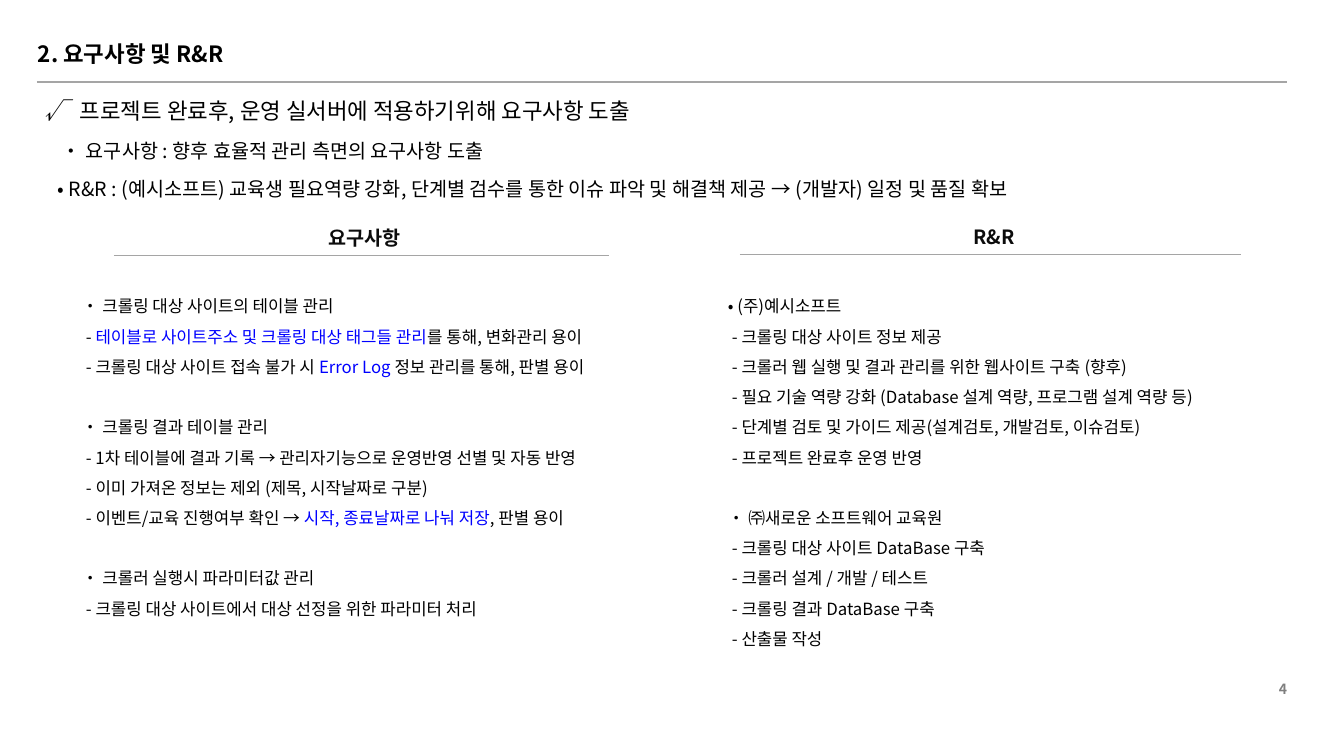
"""Builds the requirements and R&R slide."""
from dataclasses import dataclass

from lxml import etree
from pptx import Presentation
from pptx import util as u
from pptx.dml.color import RGBColor
from pptx.enum import shapes, text
from pptx.oxml.ns import qn


@dataclass(frozen=True)
class Theme:
    font: str = "Noto Sans CJK KR"
    black: str = "000000"
    heading: str = "0C0C0C"
    blue: str = "0000FF"
    grey: str = "7F7F7F"
    rule: str = "A5A5A5"
    title_size: int = 16
    heading_size: int = 14
    body_size: int = 12
    number_size: int = 10


theme = Theme()
EMU_PER_PX = 914400 / 100.8


def px(count):
    return u.Emu(round(count * EMU_PER_PX))


def add_text(para, content, size, color=theme.black, bold=False, italic=False):
    span = para.add_run()
    span.text = content
    span.font.name = theme.font
    span.font.size = u.Pt(size)
    span.font.bold = bold
    span.font.italic = italic
    span.font.color.rgb = RGBColor.from_string(color)
    etree.SubElement(span.font._element, qn("a:ea"), typeface=theme.font)


deck = Presentation()
deck.slide_width, deck.slide_height = px(1344), px(756)
page = deck.slides.add_slide(deck.slide_layouts[6])

for left, right, top in [(37, 1287, 82), (740, 1241, 255), (114, 609, 256)]:
    rule = page.shapes.add_connector(
        shapes.MSO_CONNECTOR.STRAIGHT, px(left), px(top), px(right), px(top))
    rule.line.color.rgb = RGBColor.from_string(theme.rule)
    rule.line.width = u.Pt(0.75)
    etree.SubElement(rule._element.spPr, qn("a:effectLst"))

labels = [
    ("4", (1269, 676, 73, 40), theme.number_size, theme.grey, text.PP_ALIGN.LEFT, 1),
    ("2. 요구사항 및 R&R", (28, 23, 541, 39), theme.title_size, theme.black,
     text.PP_ALIGN.LEFT, 1.44),
    ("R&R", (745, 220, 498, 34), theme.heading_size, theme.heading,
     text.PP_ALIGN.CENTER, 1),
    ("요구사항", (119, 221, 491, 34), theme.heading_size, theme.heading,
     text.PP_ALIGN.CENTER, 1),
]
for content, place, size, color, align, spacing in labels:
    box = page.shapes.add_textbox(*map(px, place))
    box.text_frame.word_wrap = True
    para = box.text_frame.paragraphs[0]
    para.alignment = align
    para.line_spacing = spacing
    add_text(para, content, size, color, bold=True)

summary = page.shapes.add_textbox(*map(px, (35, 80, 1281, 127))).text_frame
summary.word_wrap = True
para = summary.paragraphs[0]
para.line_spacing = 1.44
para._p.get_or_add_pPr().set("marL", str(px(35)))
para._p.get_or_add_pPr().set("indent", str(px(-35)))
add_text(para, "√", theme.title_size, italic=True)
add_text(para, "\t프로젝트 완료후, 운영 실서버에 적용하기위해 요구사항 도출", theme.title_size)
points = [
    (17, "• 요구사항 : 향후 효율적 관리 측면의 요구사항 도출"),
    (13, "• R&R : (예시소프트) 교육생 필요역량 강화, 단계별 검수를 통한 "
         "이슈 파악 및 해결책 제공 → (개발자) 일정 및 품질 확보"),
]
for margin, content in points:
    para = summary.add_paragraph()
    para.line_spacing = 1.64
    para._p.get_or_add_pPr().set("marL", str(px(margin)))
    add_text(para, content, theme.heading_size)

# Asterisks enclose the blue words.
columns = [
    ((72, 281, 600, 311), [
        "• 크롤링 대상 사이트의 테이블 관리",
        "- *테이블로 사이트주소 및 크롤링 대상 태그들 관리*를 통해, 변화관리 용이",
        "- 크롤링 대상 사이트 접속 불가 시 *Error Log *정보 관리를 통해, 판별 용이",
        "• 크롤링 결과 테이블 관리",
        "- 1차 테이블에 결과 기록 → 관리자기능으로 운영반영 선별 및 자동 반영",
        "- 이미 가져온 정보는 제외 (제목, 시작날짜로 구분)",
        "- 이벤트/교육 진행여부 확인 → *시작, 종료날짜로 나눠 저장*, 판별 용이",
        "• 크롤러 실행시 파라미터값 관리",
        "- 크롤링 대상 사이트에서 대상 선정을 위한 파라미터 처리",
    ]),
    ((718, 281, 590, 403), [
        "• (주)예시소프트",
        "- 크롤링 대상 사이트 정보 제공",
        "- 크롤러 웹 실행 및 결과 관리를 위한 웹사이트 구축 (향후)",
        "- 필요 기술 역량 강화 (Database 설계 역량, 프로그램 설계 역량 등)",
        "- 단계별 검토 및 가이드 제공(설계검토, 개발검토, 이슈검토)",
        "- 프로젝트 완료후 운영 반영",
        "• ㈜새로운 소프트웨어 교육원",
        "- 크롤링 대상 사이트 DataBase 구축",
        "- 크롤러 설계 / 개발 / 테스트",
        "- 크롤링 결과 DataBase 구축",
        "- 산출물 작성",
    ]),
]
for place, lines in columns:
    frame = page.shapes.add_textbox(*map(px, place)).text_frame
    frame.word_wrap = True
    for row, content in enumerate(lines):
        para = frame.add_paragraph() if row else frame.paragraphs[0]
        para.line_spacing = 1.5
        if content.startswith("-"):
            para._p.get_or_add_pPr().set("marL", str(px(4)))
        elif row:
            para.space_before = u.Pt(21.6)
        for part, words in enumerate(content.split("*")):
            add_text(para, words, theme.body_size, theme.blue if part % 2 else theme.black)

deck.save("out.pptx")
